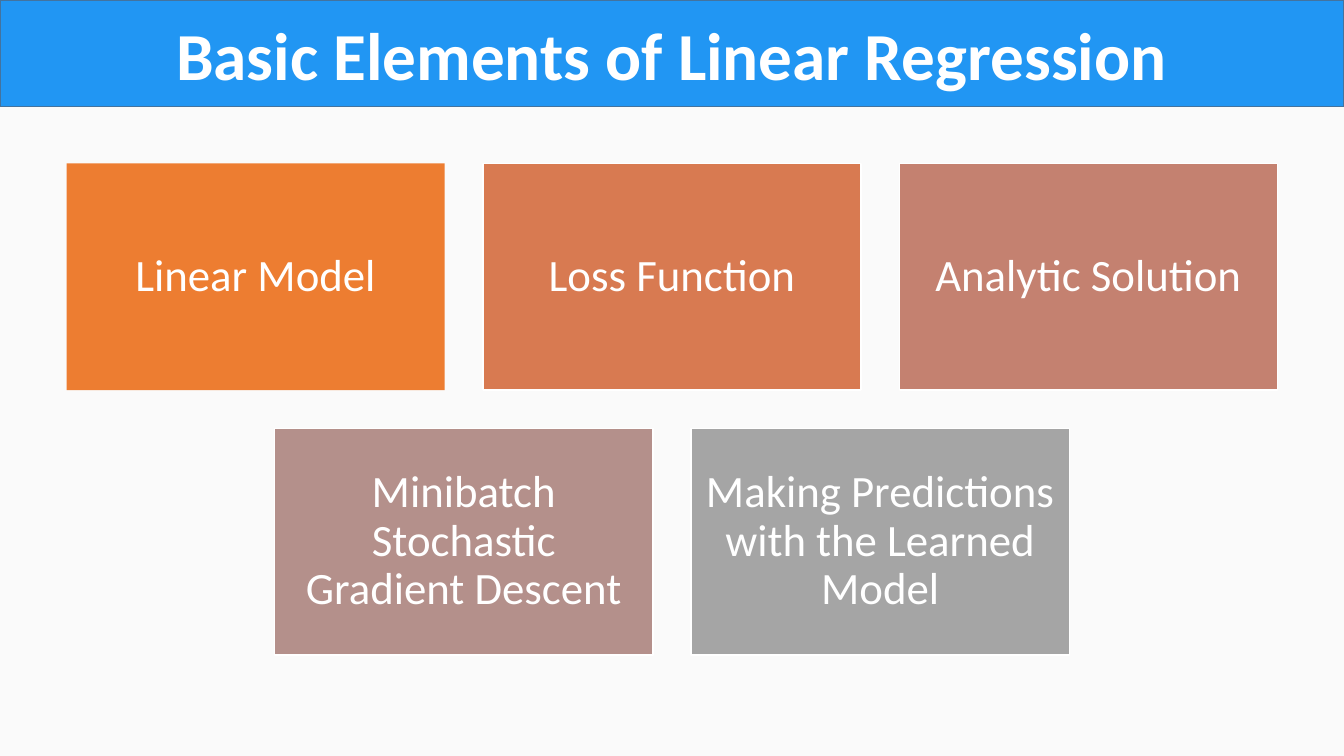
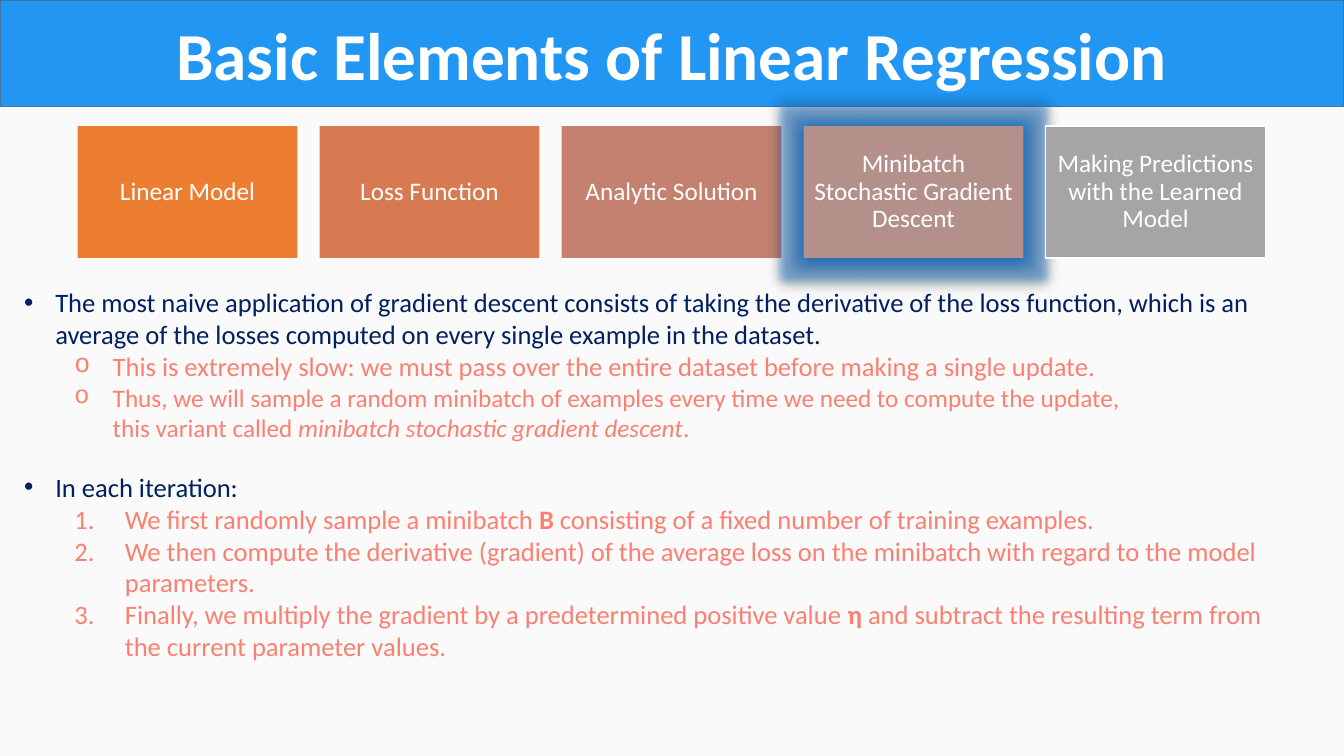
from lxml import etree
from pptx import Presentation
from pptx.dml.color import RGBColor
from pptx.enum.shapes import MSO_SHAPE
from pptx.enum.text import MSO_ANCHOR, PP_ALIGN
from pptx.oxml import parse_xml
from pptx.oxml.ns import nsdecls, qn
from pptx.util import Inches, Pt

RECTANGLE = MSO_SHAPE.RECTANGLE
MIDDLE = MSO_ANCHOR.MIDDLE
CENTER = PP_ALIGN.CENTER
LEFT = PP_ALIGN.LEFT

WHITE = RGBColor(0xFF, 0xFF, 0xFF)
BLACK = RGBColor(0x00, 0x00, 0x00)
BACKGROUND = RGBColor(0xFA, 0xFA, 0xFA)
BAND_BLUE = RGBColor(0x21, 0x96, 0xF3)
BAND_LINE = RGBColor(0x43, 0x73, 0x9E)
GLOW_BLUE = RGBColor(0x30, 0x99, 0xFF)
NAVY = RGBColor(0x00, 0x20, 0x60)
CORAL = RGBColor(0xFB, 0x80, 0x72)

FONT = "Calibri"
SLIDE_WIDTH = 13.33
TITLE = "Basic Elements of Linear Regression"
TOPICS = [
    ("Linear Model", RGBColor(0xED, 0x7D, 0x31)),
    ("Loss Function", RGBColor(0xD8, 0x7A, 0x51)),
    ("Analytic Solution", RGBColor(0xC4, 0x81, 0x70)),
    ("Minibatch Stochastic Gradient Descent", RGBColor(0xB4, 0x90, 0x8B)),
    ("Making Predictions with the Learned Model", RGBColor(0xA5, 0xA5, 0xA5)),
]
CURRENT_TOPIC = 3

DOT = ("buChar", "char", "•", "Arial", 0.31, 0.31)
CIRCLE = ("buChar", "char", "o", "Courier New", 0.88, 0.38)
NUMBER = ("buAutoNum", "type", "arabicPeriod", FONT, 1, 0.5)


def add_text(paragraph, text, size=18, color=WHITE, bold=False, italic=False, align=None):
    if align is not None:
        paragraph.alignment = align
    for index, line in enumerate(text.split("\n")):
        if index:
            paragraph.add_line_break()
        run = paragraph.add_run()
        run.text = line
        font = run.font
        font.name, font.size, font.bold, font.italic = FONT, Pt(size), bold, italic
        font.color.rgb = color


def add_box(slide, left, top, width, height, text, fill, size,
            line=None, bold=False, inset=0.1, spacing=1.0):
    shape = slide.shapes.add_shape(
        RECTANGLE, Inches(left), Inches(top), Inches(width), Inches(height))
    shape.shadow.inherit = False
    shape.fill.solid()
    shape.fill.fore_color.rgb = fill
    if line is None:
        shape.line.fill.background()
    else:
        shape.line.color.rgb = line
        shape.line.width = Pt(1)
    frame = shape.text_frame
    frame.word_wrap = True
    frame.vertical_anchor = MIDDLE
    frame.margin_left = frame.margin_right = Inches(inset)
    frame.margin_top = frame.margin_bottom = Inches(inset)
    paragraph = frame.paragraphs[0]
    paragraph.line_spacing = spacing
    add_text(paragraph, text, size=size, bold=bold, align=CENTER)
    return shape


def add_glow(shape):
    effects = shape._element.spPr.find(qn("a:effectLst"))
    effects.append(parse_xml(
        f'<a:glow {nsdecls("a")} rad="{Pt(11)}">'
        f'<a:srgbClr val="{GLOW_BLUE}"><a:alpha val="40000"/></a:srgbClr></a:glow>'))
    effects.append(parse_xml(
        f'<a:outerShdw {nsdecls("a")} blurRad="{Pt(8.5)}" dist="{Pt(1)}" dir="5400000">'
        f'<a:srgbClr val="{BLACK}"/></a:outerShdw>'))


def set_bullet(paragraph, bullet):
    tag, attribute, value, typeface, margin, hanging = bullet
    properties = paragraph._p.get_or_add_pPr()
    properties.set("marL", str(Inches(margin)))
    properties.set("indent", str(-Inches(hanging)))
    etree.SubElement(properties, qn("a:buFont")).set("typeface", typeface)
    etree.SubElement(properties, qn(f"a:{tag}")).set(attribute, value)


def add_list(slide, left, top, width, height, items):
    box = slide.shapes.add_textbox(
        Inches(left), Inches(top), Inches(width), Inches(height))
    frame = box.text_frame
    frame.word_wrap = False
    for index, (bullet, color, size, runs) in enumerate(items):
        paragraph = frame.add_paragraph() if index else frame.paragraphs[0]
        paragraph.level = 0 if bullet is DOT else 1
        set_bullet(paragraph, bullet)
        for text, style in runs:
            add_text(paragraph, text, size=size, color=color, align=LEFT, **style)


def add_titled_slide(presentation):
    slide = presentation.slides.add_slide(presentation.slide_layouts[6])
    add_box(slide, 0, 0, SLIDE_WIDTH, 1.06, TITLE, BAND_BLUE, 48,
            line=BAND_LINE, bold=True, inset=0.05)
    return slide


def build_overview(presentation):
    slide = add_titled_slide(presentation)
    width, height, gap, columns = 3.75, 2.25, 0.38, 3
    for start in range(0, len(TOPICS), columns):
        row = TOPICS[start:start + columns]
        row_width = len(row) * (width + gap) - gap
        row_left = (SLIDE_WIDTH - row_width) / 2
        top = 1.62 + start // columns * (height + gap)
        for column, (text, fill) in enumerate(row):
            add_box(slide, row_left + column * (width + gap), top, width, height,
                    text, fill, 32, line=WHITE if start + column else None,
                    inset=0.13, spacing=0.9)


def build_minibatch(presentation):
    slide = add_titled_slide(presentation)
    add_list(slide, 0.14, 2.79, 12.56, 1.67, [
        (DOT, NAVY, 19, [(
            "The most naive application of gradient descent consists of taking "
            "the derivative of the loss function, which is an \n"
            "average of the losses computed on every single example in the dataset.", {})]),
        (CIRCLE, CORAL, 19, [(
            "This is extremely slow: we must pass over the entire dataset "
            "before making a single update.", {})]),
        (CIRCLE, CORAL, 18, [
            ("Thus, we will sample a random minibatch of examples every time "
             "we need to compute the update, \nthis variant called ", {}),
            ("minibatch stochastic gradient descent", {"italic": True}),
            (".", {})]),
    ])
    last = len(TOPICS) - 1
    for index, (text, fill) in enumerate(TOPICS):
        box = add_box(slide, 0.77 + index * 2.4, 1.25, 2.18, 1.31, text, fill, 18,
                      line=WHITE if index == last else None, inset=0.07, spacing=0.9)
        if index == CURRENT_TOPIC:
            add_glow(box)
    add_list(slide, 0.14, 4.62, 12.69, 2.02, [
        (DOT, NAVY, 19, [("In each iteration:", {})]),
        (NUMBER, CORAL, 19, [
            ("We first randomly sample a minibatch ", {}),
            ("B", {"bold": True}),
            (" consisting of a fixed number of training examples.", {})]),
        (NUMBER, CORAL, 19, [(
            "We then compute the derivative (gradient) of the average loss on "
            "the minibatch with regard to the model\nparameters.", {})]),
        (NUMBER, CORAL, 19, [
            ("Finally, we multiply the gradient by a predetermined positive value ", {}),
            ("η ", {"bold": True}),
            ("and subtract the resulting term from \nthe current parameter values.", {})]),
    ])


def main():
    presentation = Presentation()
    presentation.slide_width = Inches(SLIDE_WIDTH)
    presentation.slide_height = Inches(7.5)
    background = presentation.slide_master.background.fill
    background.solid()
    background.fore_color.rgb = BACKGROUND
    build_overview(presentation)
    build_minibatch(presentation)
    presentation.save("out.pptx")


if __name__ == "__main__":
    main()
